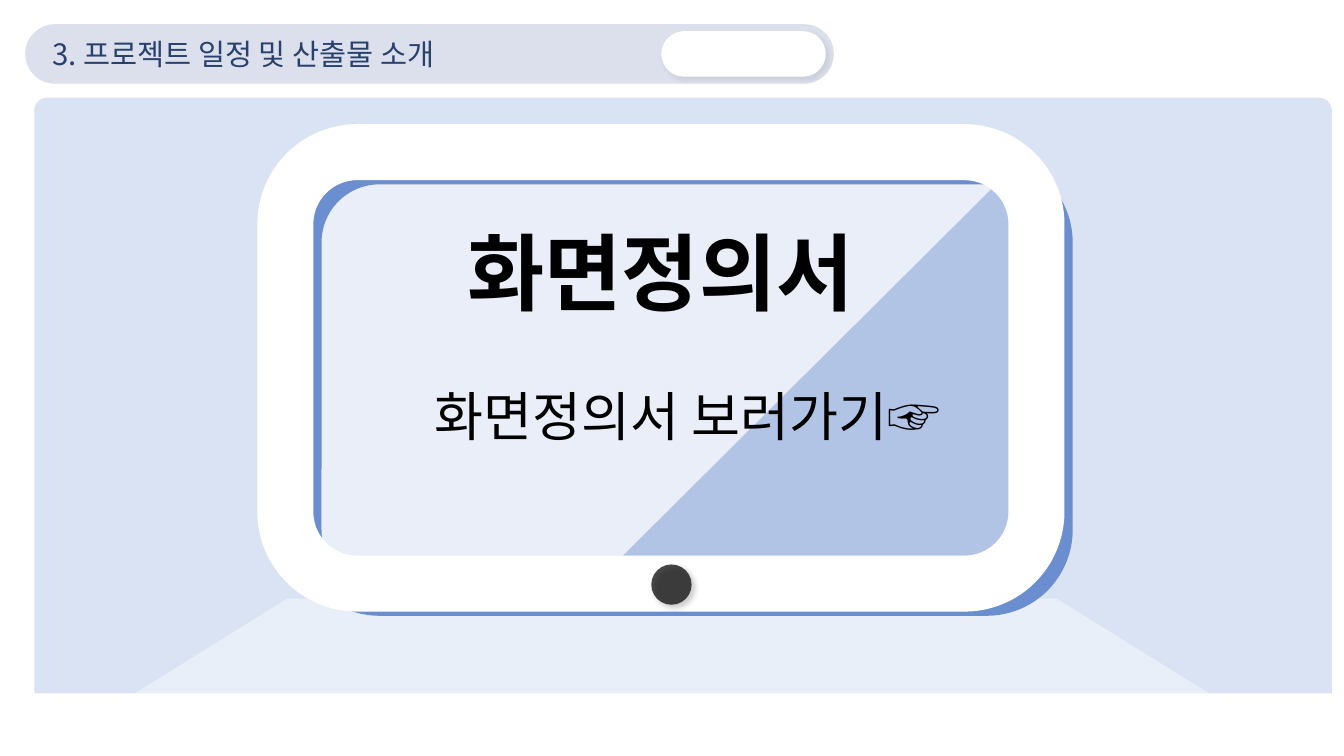
from lxml import etree
from pptx import Presentation
from pptx.dml.color import RGBColor
from pptx.enum.shapes import MSO_SHAPE
from pptx.enum.text import MSO_ANCHOR, MSO_AUTO_SIZE, PP_ALIGN
from pptx.oxml.ns import qn
from pptx.util import Inches, Pt

ROUNDED = MSO_SHAPE.ROUNDED_RECTANGLE
RECTANGLE = MSO_SHAPE.RECTANGLE
TRAPEZOID = MSO_SHAPE.TRAPEZOID
TRIANGLE = MSO_SHAPE.RIGHT_TRIANGLE
OVAL = MSO_SHAPE.OVAL
TOP = MSO_ANCHOR.TOP
GROW = MSO_AUTO_SIZE.SHAPE_TO_FIT_TEXT
LEFT = PP_ALIGN.LEFT
CENTER = PP_ALIGN.CENTER

WHITE = RGBColor(0xFF, 0xFF, 0xFF)
BLACK = RGBColor(0x00, 0x00, 0x00)
WALL_BLUE = RGBColor(0xDA, 0xE3, 0xF3)
BAR_GREY = RGBColor(0xDC, 0xE0, 0xEC)
GLARE_BLUE = RGBColor(0x79, 0x9A, 0xD5)
EDGE_BLUE = RGBColor(0x6A, 0x8E, 0xD0)
HEADING_NAVY = RGBColor(0x29, 0x41, 0x6D)

FONT = "Noto Sans CJK KR"
SLIDE_WIDTH, SLIDE_HEIGHT = 13.33, 7.5


def place(part, left, top, width, height):
    part.left, part.top = Inches(left), Inches(top)
    part.width, part.height = Inches(width), Inches(height)


def add_filled(shapes, kind, box, color, adjustment=None, opacity=None):
    part = shapes.add_shape(kind, *map(Inches, box))
    part.shadow.inherit = False
    part.fill.solid()
    part.fill.fore_color.rgb = color
    part.line.fill.background()
    if adjustment is not None:
        part.adjustments[0] = adjustment
    if opacity is not None:
        tint = part.element.spPr.find(qn("a:solidFill"))[0]
        etree.SubElement(tint, qn("a:alpha"), val=str(opacity * 1000))
    return part


def add_outline(shapes, box, color, weight):
    ring = shapes.add_shape(ROUNDED, *map(Inches, box))
    ring.shadow.inherit = False
    ring.fill.background()
    ring.line.color.rgb = color
    ring.line.width = Pt(weight)


def cast_shadow(part, opacity):
    effects = part.element.spPr.find(qn("a:effectLst"))
    shadow = etree.SubElement(
        effects, qn("a:outerShdw"), blurRad=str(Pt(4)), dist=str(Pt(3)),
        dir=str(45 * 60000), algn="tl", rotWithShape="0")
    tint = etree.SubElement(shadow, qn("a:srgbClr"), val=str(BLACK))
    etree.SubElement(tint, qn("a:alpha"), val=str(opacity * 1000))


def write_line(holder, text, size, color, alignment, bold=False):
    frame = holder.text_frame
    frame.text = text
    frame.word_wrap = True
    frame.auto_size = GROW
    frame.vertical_anchor = TOP
    paragraph = frame.paragraphs[0]
    paragraph.alignment = alignment
    font = paragraph.runs[0].font
    font.name, font.size, font.bold = FONT, Pt(size), bold
    font.color.rgb = color
    properties = paragraph.runs[0].font.color and paragraph.runs[0]._r.get_or_add_rPr()
    etree.SubElement(properties, qn("a:ea"), typeface=FONT)


def build_backdrop(shapes, left, top, width, height):
    add_filled(shapes, ROUNDED, (left, top, width, height), WALL_BLUE, 0.02)


def build_heading(slide, left, top, width, height):
    add_filled(slide.shapes, ROUNDED, (left, top, width, height), BAR_GREY, 0.5)
    pill = add_filled(slide.shapes, ROUNDED,
                      (left + width - 1.71, top + 0.07, 1.63, 0.45), WHITE, 0.5)
    cast_shadow(pill, 7)
    heading = slide.shapes.title
    heading.element.getparent().append(heading.element)
    place(heading, left + 0.17, top + 0.07, 5.13, 0.45)
    write_line(heading, "3. 프로젝트 일정 및 산출물 소개", 21, HEADING_NAVY, LEFT)


def build_floor(shapes, left, top, width, height):
    add_filled(shapes, TRAPEZOID, (left, top, width, height), WHITE, 1.609, 43)
    add_filled(shapes, RECTANGLE,
               (left, top + 0.94, width, SLIDE_HEIGHT - top - 0.94), WHITE)


def build_tablet(slide, left, top, width, height):
    parts = slide.shapes.add_group_shape().shapes
    glare = add_filled(parts, TRIANGLE,
                       (left + 3.07, top + 0.11, 4.19, 4.17), GLARE_BLUE)
    glare.element.spPr.find(qn("a:xfrm")).set("flipH", "1")
    add_filled(parts, ROUNDED, (left + 0.33, top + 0.29, 7, 4.05), WHITE, 0.149, 42)
    add_outline(parts, (left + 0.22, top + 0.18, width, height), EDGE_BLUE, 20)
    add_outline(parts, (left, top, width, height), WHITE, 40)
    button = add_filled(parts, OVAL, (left + 3.63, top + 4.09, 0.4, 0.4),
                        BLACK, opacity=71)
    cast_shadow(button, 28)

    lines = (
        ("화면정의서", 60, True, (1.07, 0.63, 5.3, 1.11)),
        ("화면정의서 보러가기☞", 38, False, (0.92, 2.24, 6.14, 0.74)),
    )
    for text, size, bold, (dx, dy, line_width, line_height) in lines:
        label = slide.shapes.add_textbox(
            Inches(left + dx), Inches(top + dy), Inches(line_width), Inches(line_height))
        write_line(label, text, size, BLACK, CENTER, bold)


def main():
    deck = Presentation()
    deck.slide_width, deck.slide_height = Inches(SLIDE_WIDTH), Inches(SLIDE_HEIGHT)
    slide = deck.slides.add_slide(deck.slide_layouts[5])
    build_backdrop(slide.shapes, 0.34, 0.97, 12.87, 6.34)
    build_heading(slide, 0.25, 0.24, 8.02, 0.59)
    build_floor(slide.shapes, 0, 5.94, SLIDE_WIDTH, 1.77)
    build_tablet(slide, 2.83, 1.51, 7.45, 4.28)
    deck.save("out.pptx")


if __name__ == "__main__":
    main()
